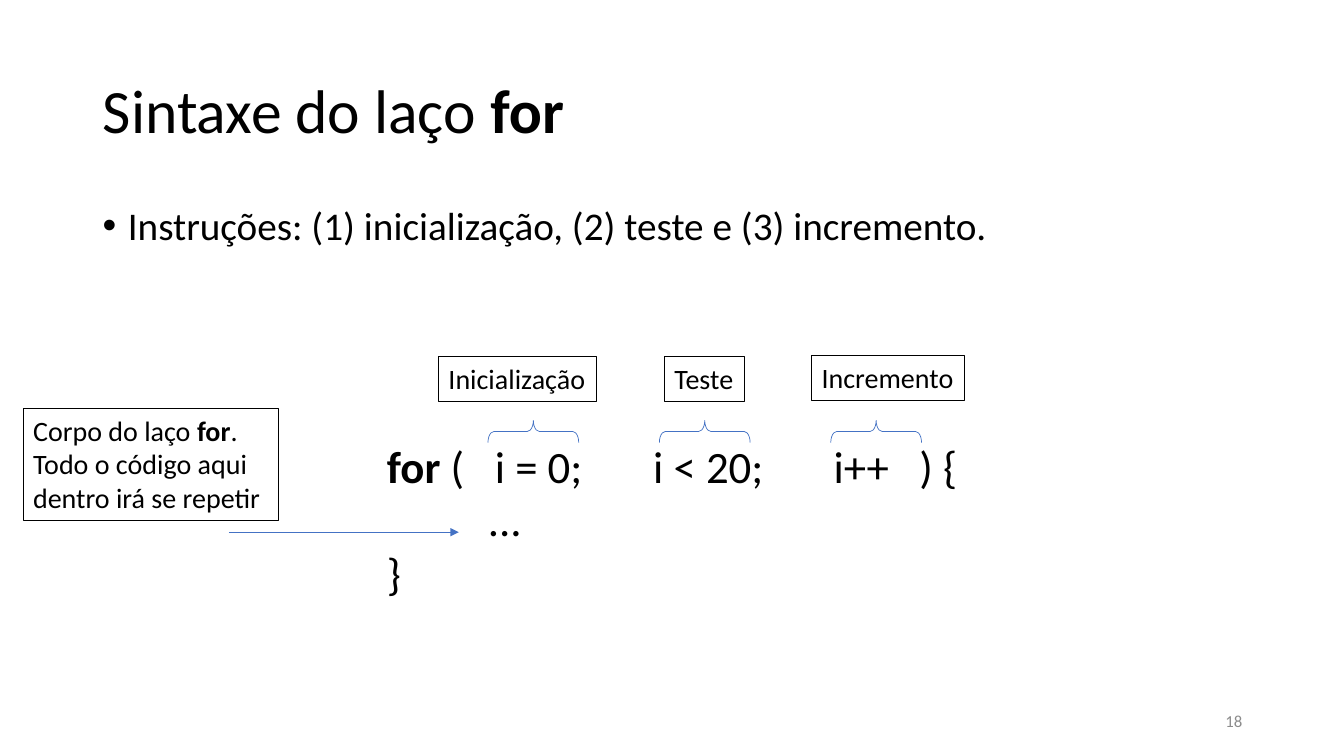
import pptx
import pptx.dml.color
import pptx.enum.shapes
import pptx.enum.text
import pptx.oxml.ns
import pptx.util
from lxml import etree

Inches = pptx.util.Inches
Pt = pptx.util.Pt
Align = pptx.enum.text.PP_ALIGN
Anchor = pptx.enum.text.MSO_ANCHOR
Shape = pptx.enum.shapes.MSO_SHAPE

BLACK = pptx.dml.color.RGBColor(0x00, 0x00, 0x00)
BLUE = pptx.dml.color.RGBColor(0x44, 0x72, 0xC4)
GRAY = pptx.dml.color.RGBColor(0x8C, 0x8C, 0x8C)


def add_element(parent, tag, **attributes):
    return etree.SubElement(parent, pptx.oxml.ns.qn(tag), attributes)


class LessonPage:
    """Holds the text style and the slide, and draws each kind of element."""

    font = "Calibri"

    def __init__(self, deck):
        self.page = deck.slides.add_slide(deck.slide_layouts[5])
        self.shapes = self.page.shapes

    def fill_text(self, shape, lines, size, color=BLACK, wrap=True, anchor=Anchor.TOP,
                  align=Align.LEFT, spacing=1.0, bullet=None, tabs=()):
        frame = shape.text_frame
        frame_format = {"word_wrap": wrap, "vertical_anchor": anchor,
                        "auto_size": pptx.enum.text.MSO_AUTO_SIZE.NONE}
        for name, value in frame_format.items():
            setattr(frame, name, value)
        for number, spans in enumerate(lines):
            para = frame.add_paragraph() if number else frame.paragraphs[0]
            properties = para._p.get_or_add_pPr()
            if bullet:
                properties.set("marL", str(Inches(0.25)))
                properties.set("indent", str(-Inches(0.25)))
                add_element(properties, "a:buFont", typeface="Arial")
                add_element(properties, "a:buChar", char=bullet)
            if tabs:
                stops = add_element(properties, "a:tabLst")
                for stop in tabs[number]:
                    add_element(stops, "a:tab", pos=str(Inches(stop)), algn="l")
            para.alignment = align
            para.line_spacing = spacing
            for text, bold in spans:
                span = para.add_run()
                span.text = text
                font_format = {"name": self.font, "size": Pt(size), "bold": bold}
                for name, value in font_format.items():
                    setattr(span.font, name, value)
                span.font.color.rgb = color

    def title(self, left, top, width, height, spans):
        shape = self.shapes.title
        place = {"left": left, "top": top, "width": width, "height": height}
        for name, value in place.items():
            setattr(shape, name, Inches(value))
        self.fill_text(shape, [spans], 44, anchor=Anchor.MIDDLE, spacing=0.9)

    def text(self, left, top, width, height, lines, size, **style):
        box = self.shapes.add_textbox(*map(Inches, (left, top, width, height)))
        self.fill_text(box, lines, size, **style)

    def outline(self, kind, left, top, width, height, color, weight):
        shape = self.shapes.add_shape(kind, *map(Inches, (left, top, width, height)))
        shape.shadow.inherit = False
        shape.fill.background()
        shape.line.color.rgb = color
        shape.line.width = Pt(weight)
        return shape

    def label(self, left, top, width, height, spans, wrap=False):
        box = self.outline(Shape.RECTANGLE, left, top, width, height, BLACK, 0.75)
        self.fill_text(box, [spans], 20, wrap=wrap)

    def brace(self, left, top, width, height):
        brace = self.outline(Shape.RIGHT_BRACE, left, top, width, height, BLUE, 0.5)
        brace.rotation = 270
        brace.adjustments[0] = 0.27
        brace.adjustments[1] = 0.5

    def arrow(self, start, end, height):
        arrow = self.shapes.add_connector(
            pptx.enum.shapes.MSO_CONNECTOR.STRAIGHT,
            *map(Inches, (start, height, end, height)))
        arrow.line.color.rgb = BLUE
        arrow.line.width = Pt(0.5)
        add_element(arrow.line._get_or_add_ln(), "a:tailEnd", type="triangle")
        add_element(arrow._element.spPr, "a:effectLst")


def main():
    deck = pptx.Presentation()
    deck.slide_width = Inches(13.33)
    deck.slide_height = Inches(7.5)
    lesson = LessonPage(deck)

    lesson.title(0.92, 0.4, 11.5, 1.45, [("Sintaxe do laço ", False), ("for", True)])
    lesson.text(0.92, 2, 11.5, 1.66,
                [[("Instruções: (1) inicialização, (2) teste e (3) incremento.", False)]],
                28, spacing=0.9, bullet="•")
    code = [[("for", True), (" (\ti = 0;\ti < 20;\ti++\t) {", False)],
            [("\t...", False)],
            [("}", False)]]
    lesson.text(3.74, 4.3, 5.93, 1.72, code, 32,
                tabs=[(1.07, 2.64, 4.43, 5.28), (1,), (1,)])

    parts = [("Inicialização", 4.35, 3.54, 1.57),
             ("Teste", 6.59, 3.54, 0.79),
             ("Incremento", 8.05, 3.53, 1.52)]
    for number, (name, left, top, width) in enumerate(parts):
        lesson.label(left, top, width, 0.44, [(name, False)])
        lesson.brace(5.18 + 1.7 * number, 3.83, 0.22, 0.9)

    lesson.arrow(2.27, 4.55, 5.28)
    lesson.label(0.23, 4.05, 2.53, 1.11,
                 [("Corpo do laço ", False), ("for", True),
                  (". Todo o código aqui dentro irá se repetir", False)], wrap=True)
    lesson.text(9.42, 6.95, 3, 0.4, [[("18", False)]], 12, color=GRAY,
                anchor=Anchor.MIDDLE, align=Align.RIGHT)
    deck.save("out.pptx")


if __name__ == "__main__":
    main()
